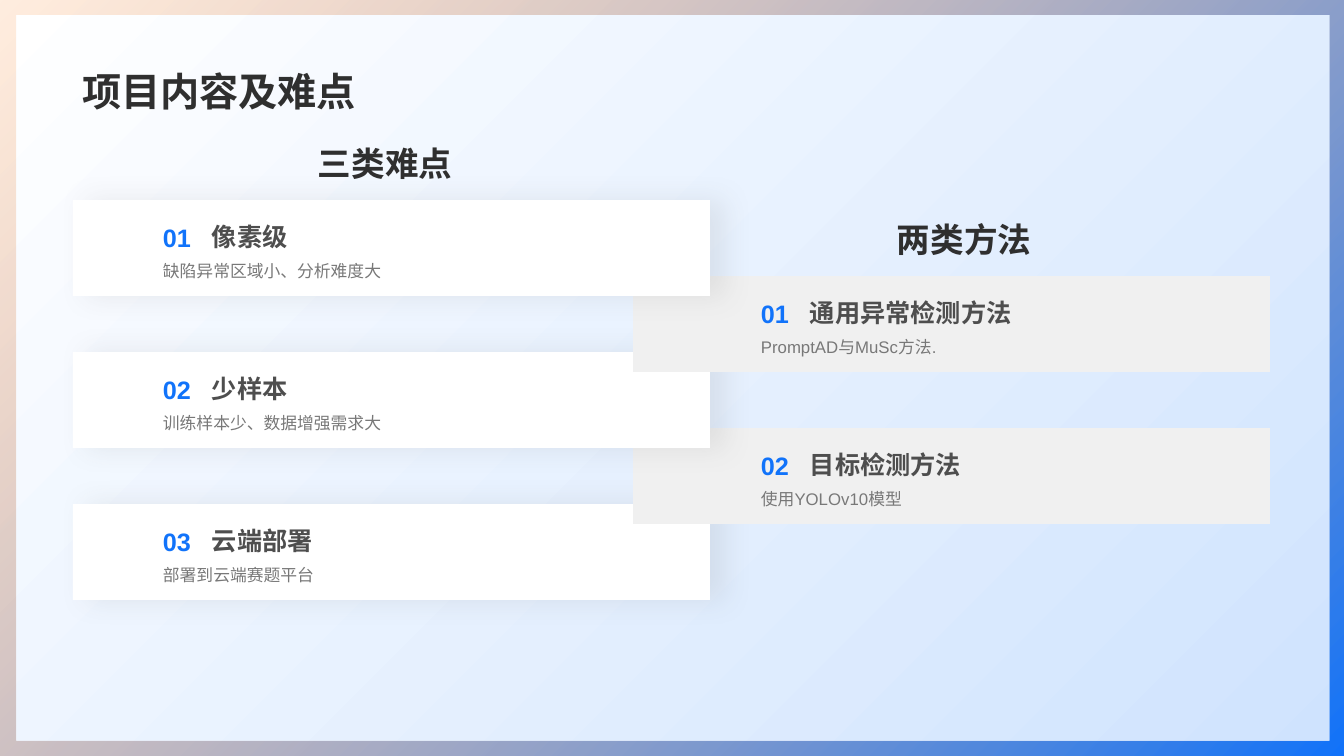
import lxml.etree
import pptx
import pptx.dml.color
import pptx.enum.lang
import pptx.enum.shapes
import pptx.enum.text
import pptx.oxml.ns
import pptx.util

RGBColor = pptx.dml.color.RGBColor
BLUE = RGBColor(0x11, 0x73, 0xFA)
ORANGE = RGBColor(0xFF, 0x8F, 0x38)
PALE_BLUE = RGBColor(0xCF, 0xE3, 0xFE)
WHITE = RGBColor(0xFF, 0xFF, 0xFF)
LIGHT_GREY = RGBColor(0xF0, 0xF0, 0xF0)
INK = RGBColor(0x2F, 0x2F, 0x2F)
DARK_GREY = RGBColor(0x4E, 0x4E, 0x4E)
MID_GREY = RGBColor(0x78, 0x78, 0x78)

LATIN, HAN = "Arial", "Noto Sans CJK SC"
PX = 914400 / 100.8
SLIDE_W, SLIDE_H = 1344, 756
CARD_W, CARD_H, CARD_PITCH = 637, 96, 152

DIFFICULTIES = [
    ("像素级", "缺陷异常区域小、分析难度大"),
    ("少样本", "训练样本少、数据增强需求大"),
    ("云端部署", "部署到云端赛题平台"),
]
METHODS = [
    ("通用异常检测方法", "PromptAD与MuSc方法."),
    ("目标检测方法", "使用YOLOv10模型"),
]


def px(*lengths):
    """Turn pixel lengths into EMU."""
    return [pptx.util.Emu(round(length * PX)) for length in lengths]


def add_child(parent, tag, **attributes):
    """Append a drawing element with the given attributes."""
    child = lxml.etree.SubElement(parent, pptx.oxml.ns.qn(tag))
    for name, value in attributes.items():
        child.set(name, str(value))
    return child


def write(frame, text, size, color, bold=False, font=LATIN, wrap=True, spacing=None):
    """Put one formatted paragraph into a text frame."""
    frame.word_wrap = wrap
    frame.vertical_anchor = pptx.enum.text.MSO_ANCHOR.TOP
    paragraph = frame.paragraphs[0]
    paragraph.alignment = pptx.enum.text.PP_ALIGN.LEFT
    if spacing:
        paragraph.line_spacing = spacing
    run = paragraph.add_run()
    run.text = text
    run.font.size = pptx.util.Pt(size)
    run.font.bold = bold
    run.font.color.rgb = color
    run.font.language_id = pptx.enum.lang.MSO_LANGUAGE_ID.SIMPLIFIED_CHINESE
    run.font.name = font
    add_child(run.font._element, "a:ea", typeface=HAN)


def add_text(shapes, box, text, **text_format):
    """Add a text box holding one formatted paragraph."""
    write(shapes.add_textbox(*px(*box)).text_frame, text, **text_format)


def fill_gradient(fill, start, end):
    """Run a gradient from the bottom right corner to the top left."""
    fill.gradient()
    fill.gradient_angle = 135
    for stop, color in zip(fill.gradient_stops, (start, end)):
        stop.color.rgb = color


def add_backdrop(slide, box):
    """Paint the background and the gradient border around it."""
    fill_gradient(slide.background.fill, PALE_BLUE, WHITE)
    border = slide.shapes.add_shape(pptx.enum.shapes.MSO_SHAPE.FRAME, *px(*box))
    border.adjustments[0] = 0.021
    border.shadow.inherit = False
    border.line.fill.background()
    fill_gradient(border.fill, BLUE, ORANGE)
    colors = list(border._element.spPr.iter(pptx.oxml.ns.qn("a:srgbClr")))
    add_child(colors[-1], "a:alpha", val=16000)


def add_card(slide, box, number, heading, detail, indent, fill, raised):
    """Draw one numbered card with a heading and a line of detail."""
    left, top, width, height = box
    shapes = slide.shapes.add_group_shape().shapes
    panel = shapes.add_shape(pptx.enum.shapes.MSO_SHAPE.RECTANGLE, *px(*box))
    panel.fill.solid()
    panel.fill.fore_color.rgb = fill
    panel.line.fill.background()
    panel.shadow.inherit = False
    if raised:
        effects = panel._element.spPr.find(pptx.oxml.ns.qn("a:effectLst"))
        shadow = add_child(effects, "a:outerShdw", blurRad=254000, dist=127000, dir=0,
                           algn="l", rotWithShape=0)
        add_child(add_child(shadow, "a:srgbClr", val=DARK_GREY), "a:alpha", val=10000)

    text_left = left + indent
    heading_width = 30 + 26 * len(heading)
    add_text(shapes, (text_left, top + 52, 438, 32), detail,
             size=12, color=MID_GREY, spacing=1.2)
    add_text(shapes, (text_left + 49, top + 16, heading_width, 40), heading,
             size=18, color=DARK_GREY, bold=True)
    add_text(shapes, (text_left, top + 17, 48, 40), f"{number:02d}",
             size=18, color=BLUE, bold=True, wrap=False)


def add_cards(slide, box):
    """Interleave the two columns of cards, the lowest card at the back."""
    left, top, width, _ = box
    method_left = left + width - CARD_W
    for row in reversed(range(len(DIFFICULTIES))):
        row_top = top + row * CARD_PITCH
        if row < len(METHODS):
            add_card(slide, (method_left, row_top + CARD_PITCH // 2, CARD_W, CARD_H),
                     row + 1, *METHODS[row], indent=118, fill=LIGHT_GREY, raised=False)
        add_card(slide, (left, row_top, CARD_W, CARD_H),
                 row + 1, *DIFFICULTIES[row], indent=80, fill=WHITE, raised=True)
    for heading, heading_left, card_top in (
        ("三类难点", left + 235, top),
        ("两类方法", method_left + 254, top + CARD_PITCH // 2),
    ):
        add_text(slide.shapes, (heading_left, card_top - 62, 167, 50), heading,
                 size=24, color=INK, bold=True, font=HAN)


def add_title(slide, box):
    """Place and format the slide title."""
    title = slide.shapes.title
    title.left, title.top, title.width, title.height = px(*box)
    write(title.text_frame, "项目内容及难点", size=28, color=INK, bold=True)


def main():
    """Build the slide and save it."""
    deck = pptx.Presentation()
    deck.slide_width, deck.slide_height = px(SLIDE_W, SLIDE_H)
    slide = deck.slides.add_slide(deck.slide_layouts[5])
    add_backdrop(slide, (0, 0, SLIDE_W, SLIDE_H))
    add_cards(slide, (73, 200, 1197, 400))
    add_title(slide, (72, 62, 592, 119))
    deck.save("out.pptx")


if __name__ == "__main__":
    main()
